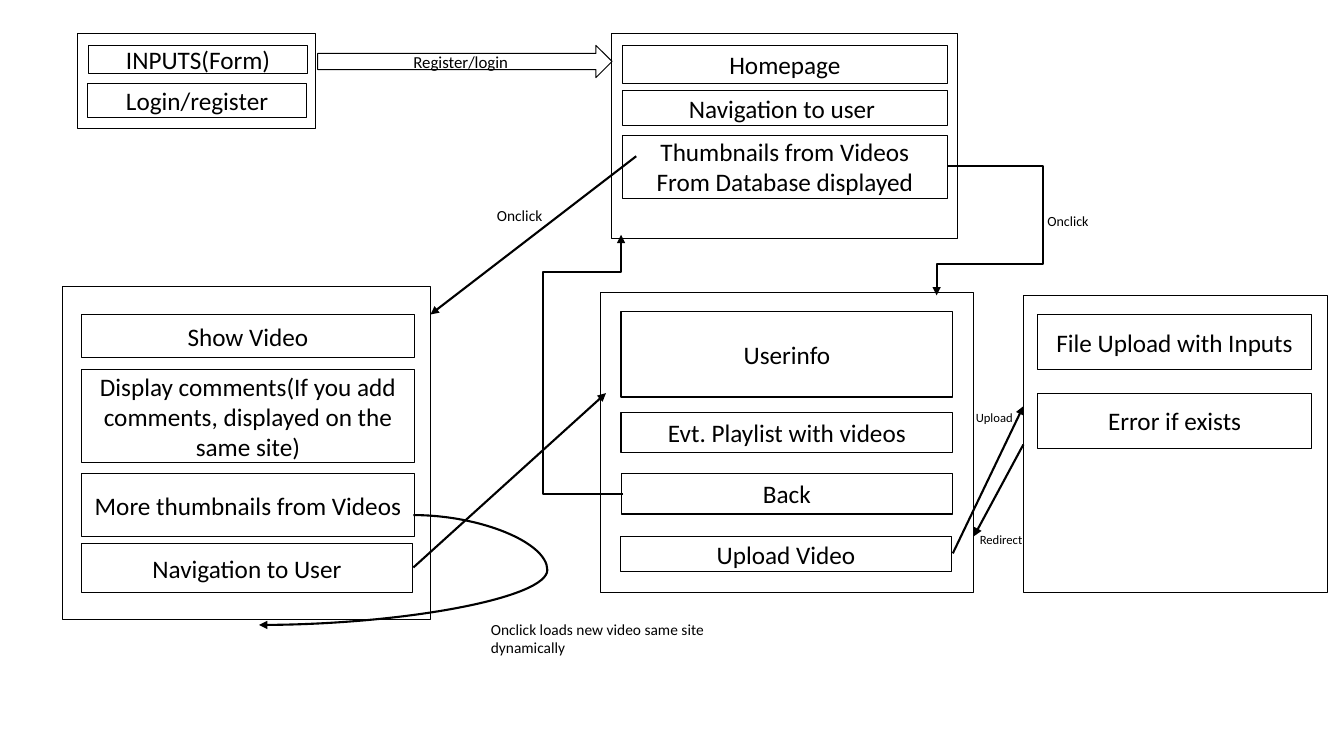
from lxml.etree import SubElement
from pptx import Presentation
from pptx.dml.color import RGBColor
from pptx.enum.shapes import MSO_CONNECTOR as CONN, MSO_SHAPE as SHAPE
from pptx.enum.text import MSO_ANCHOR as ANCHOR, MSO_AUTO_SIZE as FIT, PP_ALIGN as ALIGN
from pptx.oxml.ns import qn
from pptx.util import Inches, Pt

COLORS = {"ink": "000000", "paper": "FFFFFF"}
FONT = "Calibri"

PANELS = [
    ((0.77, 0.33, 2.36, 0.95), [
        ("INPUTS(Form)", 0.88, 0.45, 2.17, 0.28),
        ("Login/register", 0.87, 0.83, 2.17, 0.34)]),
    ((6.07, 0.33, 3.43, 2.04), [
        ("Homepage", 6.17, 0.45, 3.23, 0.38),
        ("Navigation to user ", 6.17, 0.9, 3.23, 0.35),
        ("Thumbnails from Videos From Database displayed", 6.17, 1.34, 3.23, 0.63)]),
    ((0.62, 2.84, 3.65, 3.31), [
        ("Show Video", 0.81, 3.12, 3.3, 0.43),
        ("Display comments(If you add comments, displayed on the same site)",
         0.81, 3.67, 3.3, 0.92),
        ("More thumbnails from Videos", 0.81, 4.7, 3.3, 0.62),
        ("Navigation to User", 0.81, 5.39, 3.28, 0.49)]),
    ((5.96, 2.9, 3.7, 2.98), [
        ("Userinfo", 6.16, 3.09, 3.29, 0.85),
        ("Evt. Playlist with videos", 6.16, 4.09, 3.29, 0.4),
        ("Back", 6.16, 4.7, 3.29, 0.4),
        ("Upload Video", 6.15, 5.32, 3.29, 0.35)]),
    ((10.15, 2.93, 3.02, 2.95), [
        ("File Upload with Inputs", 10.29, 3.12, 2.72, 0.55),
        ("Error if exists", 10.29, 3.9, 2.72, 0.55)]),
]
FILLED = {"Userinfo", "Evt. Playlist with videos"}

STRAIGHT_ARROWS = [
    ((6.31, 1.55), (4.27, 3.12)),
    ((4.1, 5.63), (6.01, 3.9)),
    ((10.15, 4.41), (9.66, 5.32)),
    ((9.45, 5.49), (10.15, 4.03)),
]
ELBOW_ARROWS = [
    ((9.4, 1.65), (9.29, 2.93), (10.35, 2.62)),
    ((6.18, 4.9), (6.16, 2.33), (5.39, 2.7)),
]
LABELS = [
    ("Onclick", 4.83, 2, 0.67, 0.29, 11, True),
    ("Onclick loads new video same site dynamically", 4.77, 6.1, 2.33, 0.47, 11, True),
    ("Onclick", 10.29, 2.06, 0.61, 0.27, 10, False),
    ("Redirect", 9.62, 5.23, 0.63, 0.25, 9, False),
    ("Upload", 9.58, 4.02, 0.63, 0.25, 9, True),
]


def rgb(name):
    return RGBColor.from_string(COLORS[name])


def add_text(sp, text, size, align):
    p = sp.text_frame.paragraphs[0]
    p.alignment = align
    r = p.add_run()
    r.text = text
    r.font.name = FONT
    r.font.size = Pt(size)
    r.font.color.rgb = rgb("ink")


def add_box(s, box, text="", size=18, kind=SHAPE.RECTANGLE, filled=False):
    sp = s.shapes.add_shape(kind, *map(Inches, box))
    sp.shadow.inherit = False
    if filled:
        sp.fill.solid()
        sp.fill.fore_color.rgb = rgb("paper")
    else:
        sp.fill.background()
    sp.line.color.rgb = rgb("ink")
    sp.line.width = Pt(1 if filled else 0.75)
    if text:
        sp.text_frame.word_wrap = True
        sp.text_frame.vertical_anchor = ANCHOR.MIDDLE
        add_text(sp, text, size, ALIGN.CENTER)


def add_label(s, text, x, y, w, h, size, wrap):
    sp = s.shapes.add_textbox(*map(Inches, (x, y, w, h)))
    sp.text_frame.word_wrap = wrap
    sp.text_frame.auto_size = FIT.SHAPE_TO_FIT_TEXT
    add_text(sp, text, size, ALIGN.LEFT)


def add_arrow(s, start, end, kind=CONN.STRAIGHT, preset=None, bends=()):
    cn = s.shapes.add_connector(kind, *map(Inches, start + end))
    cn.line.color.rgb = rgb("ink")
    cn.line.width = Pt(1.5)
    pr = cn._element.spPr
    SubElement(pr.find(qn("a:ln")), qn("a:tailEnd"), type="triangle")
    SubElement(pr, qn("a:effectLst"))
    if preset:
        geom = pr.find(qn("a:prstGeom"))
        geom.set("prst", preset)
        guides = geom.get_or_add_avLst()
        for i, (bend, a, b) in enumerate(zip(bends, start, end), 1):
            ratio = round((bend - a) / (b - a) * 100000)
            SubElement(guides, qn("a:gd"), name=f"adj{i}", fmla=f"val {ratio}")


def main():
    prs = Presentation()
    prs.slide_width, prs.slide_height = Inches(13.33), Inches(7.5)
    s = prs.slides.add_slide(prs.slide_layouts[6])
    for frame, items in PANELS:
        add_box(s, frame)
        for text, *box in items:
            add_box(s, box, text, filled=text in FILLED)
    add_box(s, (3.15, 0.45, 2.92, 0.32), "Register/login", 12, SHAPE.RIGHT_ARROW)
    for start, end in STRAIGHT_ARROWS:
        add_arrow(s, start, end)
    for start, end, bends in ELBOW_ARROWS:
        add_arrow(s, start, end, CONN.ELBOW, "bentConnector4", bends)
    add_arrow(s, (4.1, 5.11), (2.57, 6.2), CONN.CURVE, "curvedConnector3", (5.43,))
    for label in LABELS:
        add_label(s, *label)
    prs.save("out.pptx")


if __name__ == "__main__":
    main()
